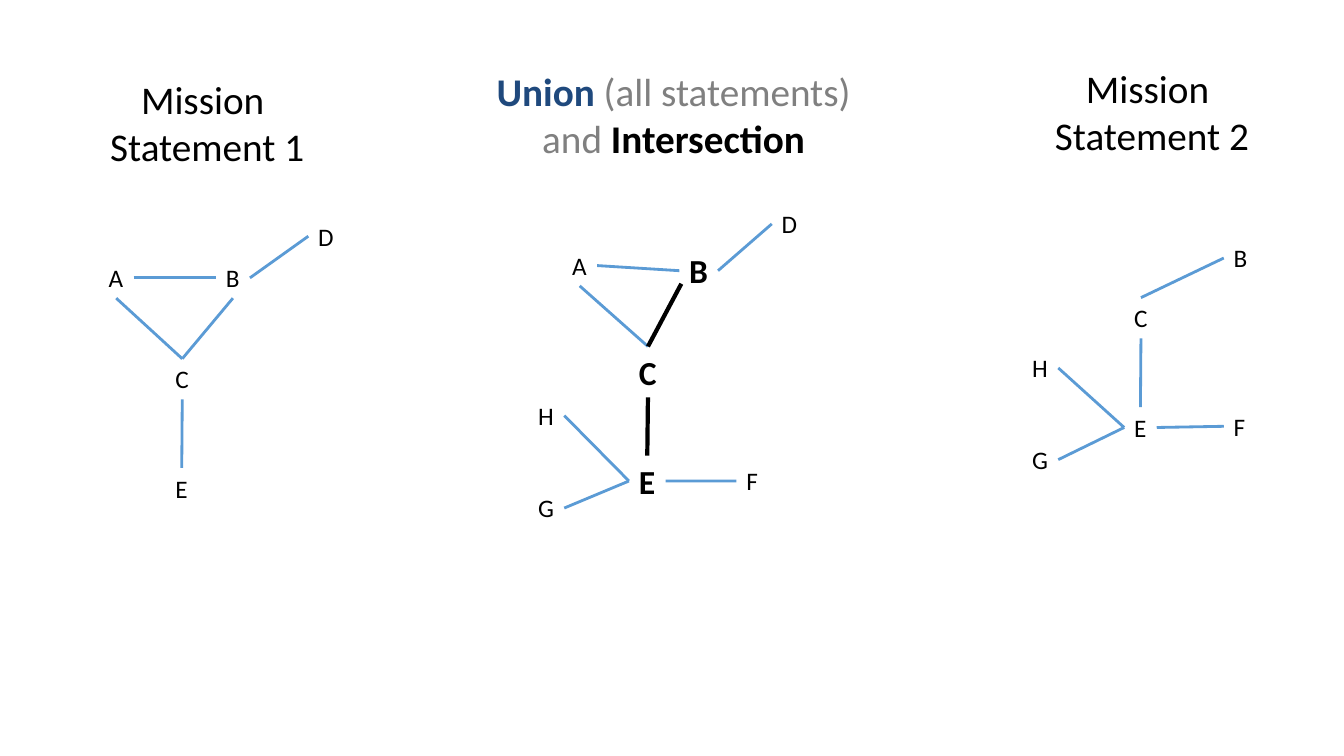
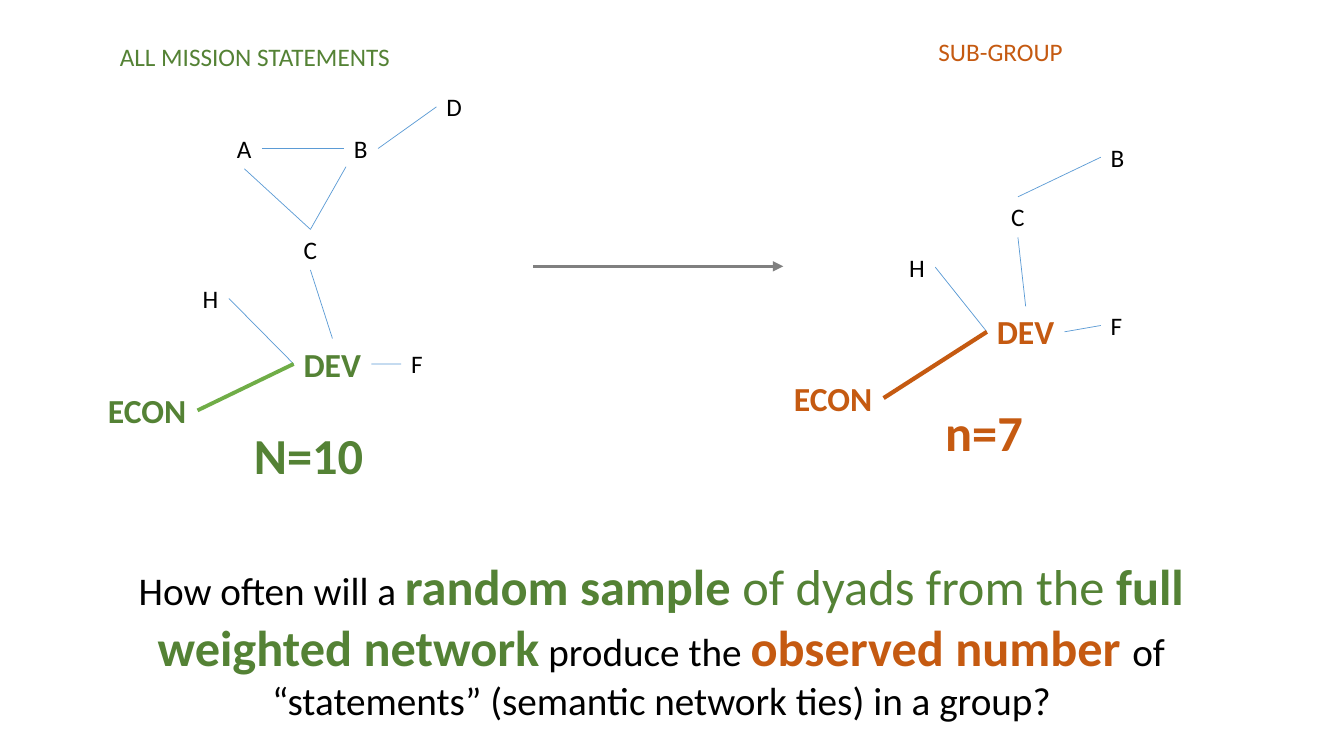
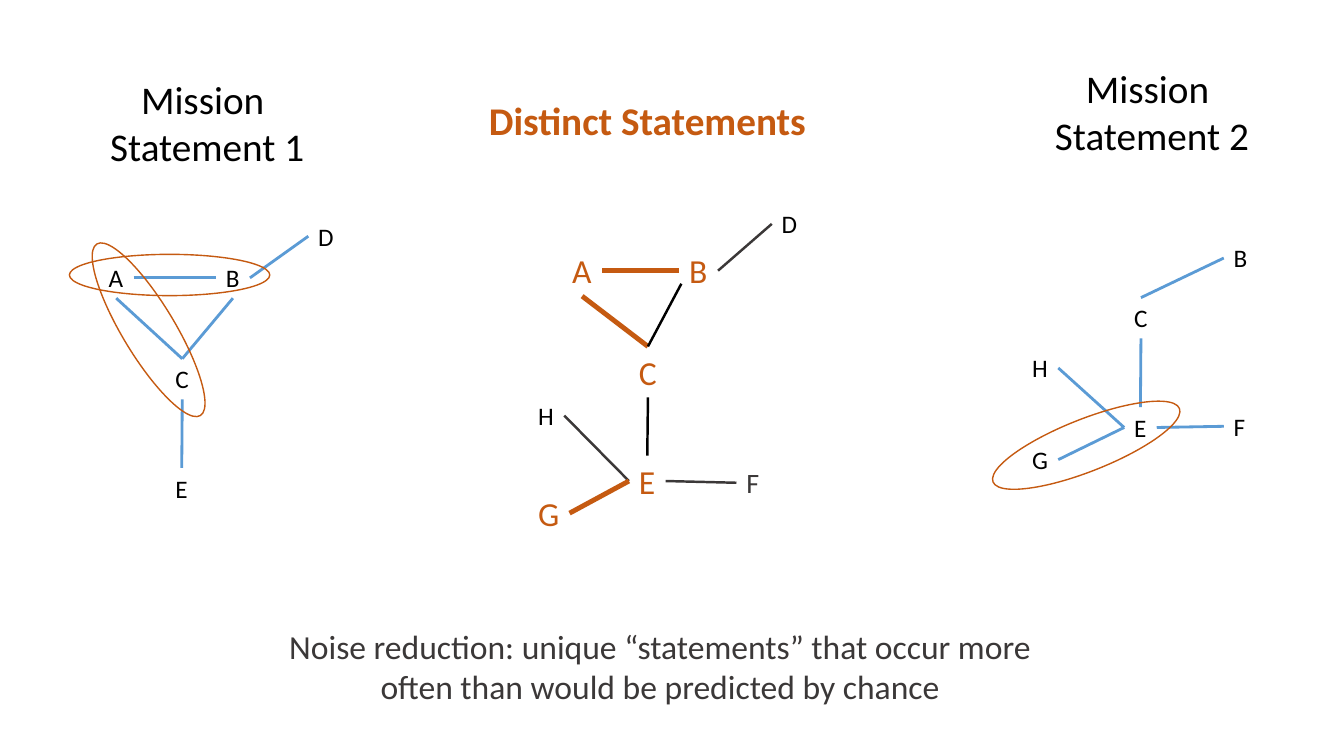
from dataclasses import dataclass, replace

from lxml.etree import SubElement
from pptx import Presentation
from pptx.dml.color import RGBColor
from pptx.enum.shapes import MSO_CONNECTOR as Connector, MSO_SHAPE as Preset
from pptx.enum.text import MSO_ANCHOR as Anchor, MSO_AUTO_SIZE as AutoSize, PP_ALIGN as Align
from pptx.oxml.ns import qn
from pptx.util import Cm, Pt


@dataclass(frozen=True)
class Theme:
    font: str = "Calibri"
    black: str = "000000"
    charcoal: str = "3B3838"
    grey: str = "808080"
    navy: str = "1F497D"
    blue: str = "5B9BD5"
    orange: str = "C55A11"
    green: str = "548235"
    light_green: str = "70AD47"
    label: int = 18
    medium: int = 20
    strong: int = 24
    heading: int = 28
    display: int = 36


THEME = Theme()
BREAK = object()


@dataclass(frozen=True)
class Text:
    text: str
    size: int = THEME.label
    color: str = THEME.black
    bold: bool = False


@dataclass(frozen=True)
class Stroke:
    color: str = THEME.blue
    width: float = 2


@dataclass(frozen=True)
class Layout:
    """Node positions in cm, and for each pair of nodes the sides its edge joins."""
    nodes: dict
    edges: dict

    def without(self, names):
        nodes = {name: place for name, place in self.nodes.items() if name not in names}
        edges = {pair: sides for pair, sides in self.edges.items() if not set(pair) & set(names)}
        return Layout(nodes, edges)

    def moved(self, **places):
        return replace(self, nodes={**self.nodes, **places})


FULL = Layout(
    {"A": (0, 1.05), "B": (2.95, 1.05), "C": (1.68, 3.6), "D": (5.28, 0),
     "E": (1.68, 6.35), "F": (4.39, 6.48), "G": (-0.86, 7.16), "H": (-0.86, 4.83)},
    {"AB": ("right", "left"), "AC": ("bottom", "top"), "BC": ("corner", "top"),
     "BD": ("right", "left"), "CE": ("bottom", "top"), "EF": ("right", "left"),
     "HE": ("right", "left"), "GE": ("right", "left")})
FIRST = FULL.without("FGH")
FIRST = replace(FIRST, edges={**FIRST.edges, "BC": ("bottom", "top")})
SECOND = Layout(
    {"B": (5.08, 0), "C": (2.57, 1.51), "E": (2.57, 4.27),
     "F": (5.08, 4.24), "G": (0, 5.08), "H": (0, 2.77)},
    {"BC": ("left", "top"), "CE": ("bottom", "top"), "EF": ("right", "left"),
     "HE": ("right", "left"), "GE": ("right", "left")})

LETTER_WIDTHS = {"A": 0.58, "B": 0.55, "C": 0.53, "D": 0.63, "E": 0.49, "F": 0.46,
                 "G": 0.63, "H": 0.63, "N": 0.66, "O": 0.68, "V": 0.59}
CM_PER_POINT = 2.54 / 72


def label_size(label):
    """Width and height in cm of a box that fits one line plus its insets."""
    em = label.size * CM_PER_POINT
    return 0.51 + em * sum(LETTER_WIDTHS[letter] for letter in label.text), 0.25 + 1.22 * em


def fill_text(shape, paragraphs, align=Align.CENTER, wrap=False):
    frame = shape.text_frame
    frame.word_wrap = wrap
    frame.vertical_anchor = Anchor.TOP
    for index, items in enumerate(paragraphs):
        paragraph = frame.add_paragraph() if index else frame.paragraphs[0]
        paragraph.alignment = align
        paragraph.space_before = Pt(0)
        for item in items:
            if item is BREAK:
                paragraph.add_line_break()
                continue
            run = paragraph.add_run()
            run.text = item.text
            run.font.name = THEME.font
            run.font.size = Pt(item.size)
            run.font.bold = item.bold
            run.font.color.rgb = RGBColor.from_string(item.color)
    return frame


def add_text(slide, box, *paragraphs, align=Align.CENTER, wrap=False):
    shape = slide.shapes.add_textbox(*map(Cm, box))
    fill_text(shape, paragraphs, align, wrap).auto_size = AutoSize.SHAPE_TO_FIT_TEXT


def set_title(slide, box, *items, wrap=False):
    title = slide.shapes.title
    title.left, title.top, title.width, title.height = map(Cm, box)
    fill_text(title, [items], wrap=wrap).auto_size = AutoSize.NONE


def add_line(slide, start, end, stroke, arrow=False):
    line = slide.shapes.add_connector(Connector.STRAIGHT, *map(Cm, (*start, *end)))
    line.line.color.rgb = RGBColor.from_string(stroke.color)
    line.line.width = Pt(stroke.width)
    if arrow:
        SubElement(line.line._get_or_add_ln(), qn("a:tailEnd"), type="triangle")
    SubElement(line._element.spPr, qn("a:effectLst"))


def add_ring(slide, left, top, height, rotation):
    ring = slide.shapes.add_shape(Preset.OVAL, Cm(left), Cm(top), Cm(5.05), Cm(height))
    ring.rotation = rotation
    ring.shadow.inherit = False
    ring.fill.background()
    ring.line.color.rgb = RGBColor.from_string(THEME.orange)
    ring.line.width = Pt(1)


def side_point(box, side):
    left, top, width, height = box
    return {"left": (left, top + height / 2), "right": (left + width, top + height / 2),
            "top": (left + width / 2, top), "bottom": (left + width / 2, top + height),
            "corner": (left + 0.05, top + 0.97)}[side]


def draw_network(slide, left, top, layout, labels=None, strokes=None, stroke=Stroke()):
    """Draw labelled nodes and edges; labels and strokes hold the exceptions."""
    boxes = {}
    for name, (x, y) in layout.nodes.items():
        label = (labels or {}).get(name, Text(name))
        boxes[name] = (left + x, top + y, *label_size(label))
        add_text(slide, boxes[name], [label], align=Align.LEFT)
    for pair, sides in layout.edges.items():
        start, end = (side_point(boxes[name], side) for name, side in zip(pair, sides))
        add_line(slide, start, end, (strokes or {}).get(pair, stroke))


def draw_statement(slide, left, top, number, heading_offset, layout, rings):
    x, y = heading_offset
    add_text(slide, (left + x, top + y, 5.5, 2.64),
             [Text("Mission ", THEME.heading)],
             [Text(f"Statement {number}", THEME.heading)])
    draw_network(slide, left, top, layout)
    for ring_x, ring_y, height, rotation in rings:
        add_ring(slide, left + ring_x, top + ring_y, height, rotation)


def draw_both_statements(slide, first_rings=(), second_rings=()):
    draw_statement(slide, 2.49, 5.44, 1, (-0.02, -3.66), FIRST, first_rings)
    draw_statement(slide, 25.76, 5.99, 2, (0.52, -4.5), SECOND, second_rings)


def draw_sample(slide, left, top, layout, color, strong_edge, heading, count):
    """Draw a network with its heading and count, each given as text, x, y and width."""
    for (text, x, y, width), size, height, bold in (
            (heading, THEME.label, 1.03, False), (count, THEME.display, 1.8, True)):
        add_text(slide, (left + x, top + y, width, height),
                 [Text(text, size, color, bold)], align=Align.LEFT)
    labels = {"E": Text("DEV", THEME.strong, color, True),
              "G": Text("ECON", THEME.strong, color, True)}
    draw_network(slide, left, top, layout, labels, {"GE": strong_edge}, Stroke(width=0.5))


def build_union(slide):
    size = THEME.heading
    set_title(slide, (12.24, 1.57, 9.47, 2.64),
              Text("Union ", size, THEME.navy, True),
              Text("(all statements)", size, THEME.grey), BREAK,
              Text("and ", size, THEME.grey),
              Text("Intersection", size, bold=True))
    draw_both_statements(slide)
    labels = {name: Text(name, THEME.strong, bold=True) for name in "BCE"}
    shared = Stroke(THEME.black, 3)
    draw_network(slide, 14.17, 5.13, FULL, labels, {"BC": shared, "CE": shared})


def build_sampling(slide):
    draw_sample(slide, 5.72, 2.18, FULL.moved(G=(-3.25, 7.52)), THEME.green,
                Stroke(THEME.light_green, 2.75),
                ("ALL MISSION STATEMENTS", -2.95, -1.27, 7.39), ("N=10", 0.43, 8.38, 3.3))
    draw_sample(slide, 22.66, 3.45, SECOND.moved(E=(2.21, 4.27), G=(-2.9, 5.94)), THEME.orange,
                Stroke(THEME.orange, 3),
                ("SUB-GROUP", 0.74, -2.67, 3.66), ("n=7", 0.91, 6.53, 2.49))
    add_line(slide, (13.44, 6.71), (19.74, 6.71), Stroke(THEME.grey, 2.5), arrow=True)
    small, large = THEME.heading, THEME.display
    set_title(slide, (2.77, 13.87, 27.79, 4.52),
              Text("How often will a ", small),
              Text("random sample ", large, THEME.green, True),
              Text("of dyads from the ", large, THEME.green),
              Text("full weighted network", large, THEME.green, True),
              Text(" produce the ", small),
              Text("observed number ", large, THEME.orange, True),
              Text("of “statements” (semantic network ties) in a group?", small),
              wrap=True)


def build_distinct(slide):
    set_title(slide, (12.01, 2.29, 8.61, 1.45),
              Text("Distinct Statements", THEME.heading, THEME.orange, True))
    draw_both_statements(slide,
                         [(-1.27, 2.21, 1.32, 58.9), (-0.74, 0.97, 1.04, 0)],
                         [(-0.91, 4.57, 1.32, 338.5)])
    labels = {name: Text(name, THEME.strong, THEME.orange) for name in "ABCEG"}
    labels["F"] = Text("F", THEME.medium, THEME.charcoal)
    strokes = {pair: Stroke(THEME.orange, 3.5) for pair in ("AB", "AC", "GE")}
    strokes |= {pair: Stroke(THEME.black, 1.75) for pair in ("BC", "CE")}
    draw_network(slide, 14.17, 5.13, FULL, labels, strokes, Stroke(THEME.charcoal, 1.75))
    add_text(slide, (6.6, 15.65, 20.07, 2.31),
             [Text("Noise reduction: unique “statements” that occur more often "
                   "than would be predicted by chance", THEME.strong, THEME.charcoal)],
             wrap=True)


def main():
    presentation = Presentation()
    presentation.slide_width, presentation.slide_height = Cm(33.87), Cm(19.05)
    title_only = presentation.slide_layouts[5]
    for build in (build_union, build_sampling, build_distinct):
        build(presentation.slides.add_slide(title_only))
    presentation.save("out.pptx")


if __name__ == "__main__":
    main()
